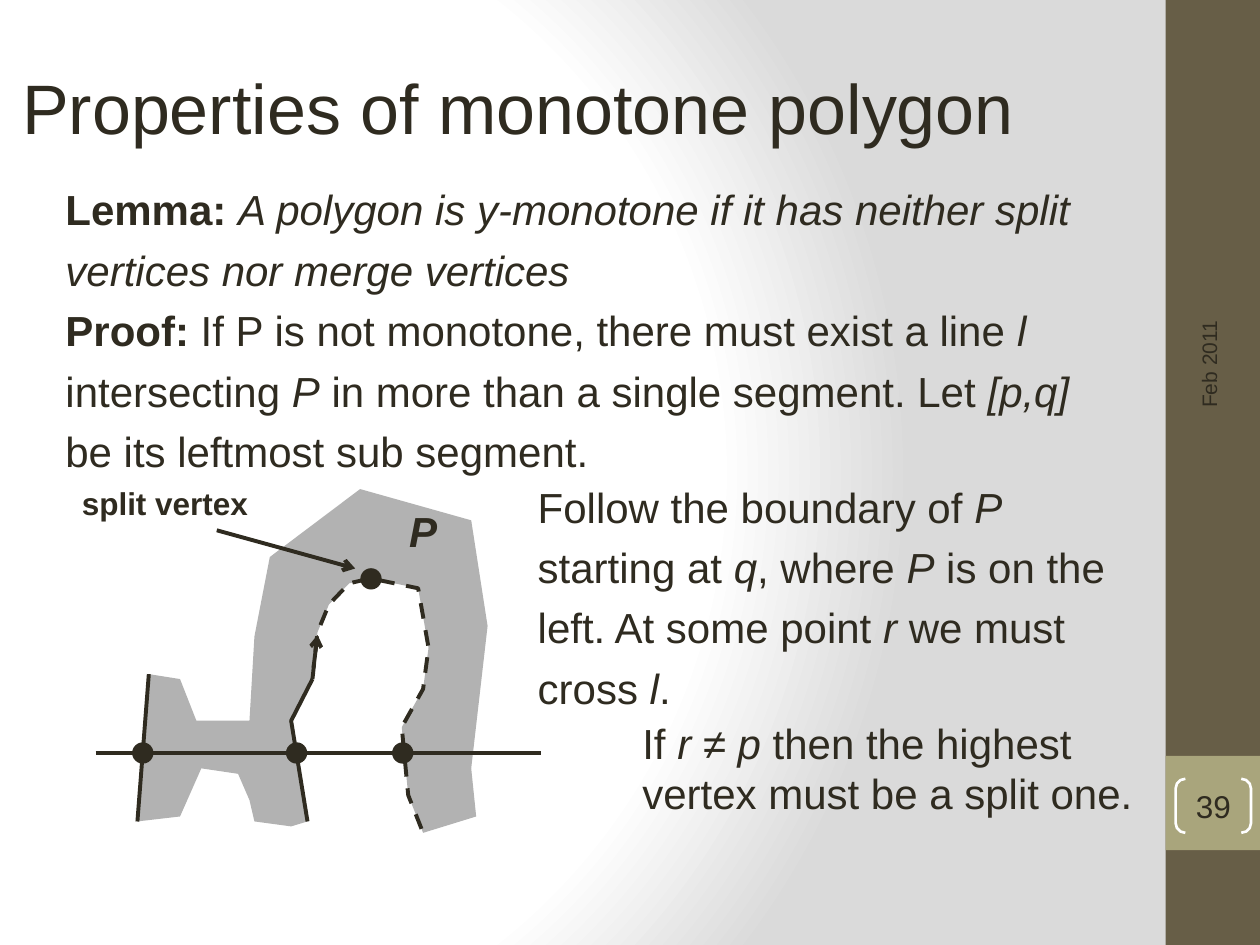
from lxml import etree
from pptx import Presentation
from pptx.dml.color import RGBColor
from pptx.enum.dml import MSO_LINE
from pptx.enum.shapes import MSO_CONNECTOR, MSO_SHAPE
from pptx.enum.text import MSO_ANCHOR, MSO_AUTO_SIZE, PP_ALIGN
from pptx.oxml import parse_xml
from pptx.oxml.ns import nsdecls, qn
from pptx.util import Cm, Pt

RECTANGLE, OVAL, BRACKETS = MSO_SHAPE.RECTANGLE, MSO_SHAPE.OVAL, MSO_SHAPE.DOUBLE_BRACKET
STRAIGHT, DASH = MSO_CONNECTOR.STRAIGHT, MSO_LINE.DASH
MIDDLE, CENTER, GROW = MSO_ANCHOR.MIDDLE, PP_ALIGN.CENTER, MSO_AUTO_SIZE.SHAPE_TO_FIT_TEXT

INK = RGBColor(0x2F, 0x2B, 0x20)
OLIVE = RGBColor(0x67, 0x5E, 0x47)
SAGE = RGBColor(0xA9, 0xA5, 0x7C)
GRAY = RGBColor(0xB2, 0xB2, 0xB2)
WHITE = RGBColor(0xFF, 0xFF, 0xFF)

PLAIN = {}
BOLD = {"bold": True}
ITALIC = {"italic": True}
BOLD_ITALIC = {**BOLD, **ITALIC}


def write_text(frame, paragraphs, size, frame_format, paragraph_format):
    for name, value in frame_format.items():
        setattr(frame, name, value)
    for index, runs in enumerate(paragraphs):
        paragraph = frame.add_paragraph() if index else frame.paragraphs[0]
        for name, value in paragraph_format.items():
            setattr(paragraph, name, value)
        for text, style in runs:
            run = paragraph.add_run()
            run.text = text
            run.font.color.rgb = INK
            for name, value in {"name": "Arial", "size": Pt(size), **style}.items():
                setattr(run.font, name, value)


def draw_outline(shapes, points):
    corners = [(Cm(x), Cm(y)) for x, y in points]
    builder = shapes.build_freeform(*corners[0], scale=1.0)
    builder.add_line_segments(corners[1:], close=points[0] == points[-1])
    outline = builder.convert_to_shape()
    outline.shadow.inherit = False
    return outline


presentation = Presentation()
presentation.slide_width, presentation.slide_height = Cm(25.4), Cm(19.05)
slide = presentation.slides.add_slide(presentation.slide_layouts[6])

stops = "".join(
    f'<a:gs pos="{position}"><a:srgbClr val="{color}"/></a:gs>'
    for position, color in [(0, "FFFFFF"), (75000, "FFFFFF"), (100000, "DADADA")]
)
slide.element.cSld.insert(0, parse_xml(
    f'<p:bg {nsdecls("p", "a")}><p:bgPr><a:gradFill rotWithShape="1"><a:gsLst>{stops}</a:gsLst>'
    '<a:path path="circle"><a:fillToRect l="20000" t="50000" r="100000" b="50000"/></a:path>'
    '</a:gradFill><a:effectLst/></p:bgPr></p:bg>'
))

for top, height, color in [(0, 19.05, OLIVE), (15.24, 1.9, SAGE)]:
    band = slide.shapes.add_shape(RECTANGLE, Cm(23.5), Cm(top), Cm(1.9), Cm(height))
    band.shadow.inherit = False
    band.fill.solid()
    band.fill.fore_color.rgb = color
    band.line.fill.background()

page_number = slide.shapes.add_shape(BRACKETS, Cm(23.7), Cm(15.7), Cm(1.52), Cm(1.09))
page_number.shadow.inherit = False
page_number.adjustments[0] = 0.18
page_number.fill.background()
page_number.line.color.rgb = WHITE
page_number.line.width = Pt(1.5)
no_margins = dict.fromkeys(["margin_left", "margin_top", "margin_right", "margin_bottom"], 0)
write_text(page_number.text_frame, [[("39", PLAIN)]], 18,
           {"vertical_anchor": MIDDLE, **no_margins}, {"alignment": CENTER})

date = slide.shapes.add_textbox(Cm(20.98), Cm(4.57), Cm(6.78), Cm(1.02))
date.rotation = 270
write_text(date.text_frame, [[("Feb 2011", PLAIN)]], 12,
           {"word_wrap": True, "vertical_anchor": MIDDLE}, {})

figure = slide.shapes.add_group_shape().shapes

left_foot = [(2.77, 16.56), (3.63, 16.46), (4.06, 15.49), (4.8, 15.6),
             (5.03, 16.13), (5.13, 16.56), (5.87, 16.66)]
edge_at_q = [(6.2, 16.56), (5.87, 14.53), (6.3, 13.69)]
boundary_to_r = [(6.3, 13.69), (6.4, 12.75), (6.63, 12.19), (7.04, 11.76), (7.47, 11.66),
                 (8.43, 11.86), (8.64, 13.06), (8.53, 13.89), (8.1, 14.66), (8.23, 16.03),
                 (8.53, 16.79)]
outer_boundary = [(9.6, 16.46), (9.5, 15.49), (9.83, 12.62), (9.5, 10.49), (7.26, 9.86),
                  (5.44, 11.23), (5.13, 12.83), (5.03, 14.53), (3.96, 14.53), (3.63, 13.69),
                  (3, 13.59), (2.77, 16.56)]

polygon = draw_outline(figure, left_foot + edge_at_q + boundary_to_r[1:] + outer_boundary)
polygon.fill.solid()
polygon.fill.fore_color.rgb = GRAY
polygon.line.fill.background()

for points, dash in [(edge_at_q, None), (boundary_to_r, DASH)]:
    chain = draw_outline(figure, points)
    chain.fill.background()
    chain.line.color.rgb = INK
    chain.line.width = Pt(2.25)
    chain.line.dash_style = dash

for start_x, start_y, end_x, end_y, has_arrow in [
    (2.77, 16.56, 3, 13.59, False),
    (1.93, 15.18, 10.9, 15.18, False),
    (4.37, 10.69, 7.16, 11.46, True),
    (6.32, 13.46, 6.4, 12.8, True),
]:
    segment = figure.add_connector(STRAIGHT, Cm(start_x), Cm(start_y), Cm(end_x), Cm(end_y))
    segment.line.color.rgb = INK
    segment.line.width = Pt(2.25)
    if has_arrow:
        etree.SubElement(segment.line._get_or_add_ln(), qn("a:tailEnd"), type="arrow")
    etree.SubElement(segment.element.spPr, qn("a:effectLst"))

DOT = 0.43
for x, y in [(2.88, 15.18), (5.98, 15.18), (8.12, 15.18), (7.48, 11.67)]:
    vertex = figure.add_shape(OVAL, Cm(x - DOT / 2), Cm(y - DOT / 2), Cm(DOT), Cm(DOT))
    vertex.shadow.inherit = False
    vertex.fill.solid()
    vertex.fill.fore_color.rgb = INK
    vertex.line.fill.background()

lemma = [
    [("Lemma: ", BOLD),
     ("A polygon is y-monotone if it has neither split vertices nor merge vertices", ITALIC)],
    [("Proof:", BOLD), (" If P is not monotone, there must exist a line ", PLAIN), ("l", ITALIC),
     (" intersecting ", PLAIN), ("P", ITALIC),
     (" in more than a single segment. Let ", PLAIN), ("[p,q]", ITALIC),
     (" be its leftmost sub segment.", PLAIN)],
]
walk = [[("Follow the boundary of ", PLAIN), ("P", ITALIC), (" starting at ", PLAIN),
         ("q", ITALIC), (", where ", PLAIN), ("P", ITALIC),
         (" is on the left. At some point ", PLAIN), ("r", ITALIC),
         (" we must cross ", PLAIN), ("l", ITALIC), (".", PLAIN)]]
conclusion = [[("If ", PLAIN), ("r ≠ p", ITALIC),
               (" then the highest vertex must be a split one.", PLAIN)]]

LOOSE = {"line_spacing": 1.2}
for shapes, left, top, width, height, paragraphs, size, spacing in [
    (slide.shapes, 0.2, 0.84, 22.94, 2.31,
     [[("Properties of monotone polygon", PLAIN)]], 40, LOOSE),
    (slide.shapes, 1.07, 3.38, 20.96, 6.4, lemma, 24, LOOSE),
    (slide.shapes, 10.59, 9.37, 12.57, 5.18, walk, 24, LOOSE),
    (slide.shapes, 12.7, 14.33, 10.52, 2.31, conclusion, 24, {}),
    (figure, 8, 10.06, 1.17, 1.27, [[("P", BOLD_ITALIC)]], 24, {}),
    (figure, 1.4, 9.63, 4.06, 1.02, [[("split vertex", BOLD)]], 18, {}),
]:
    box = shapes.add_textbox(Cm(left), Cm(top), Cm(width), Cm(height))
    write_text(box.text_frame, paragraphs, size,
               {"word_wrap": True, "auto_size": GROW}, spacing)

presentation.save("out.pptx")
